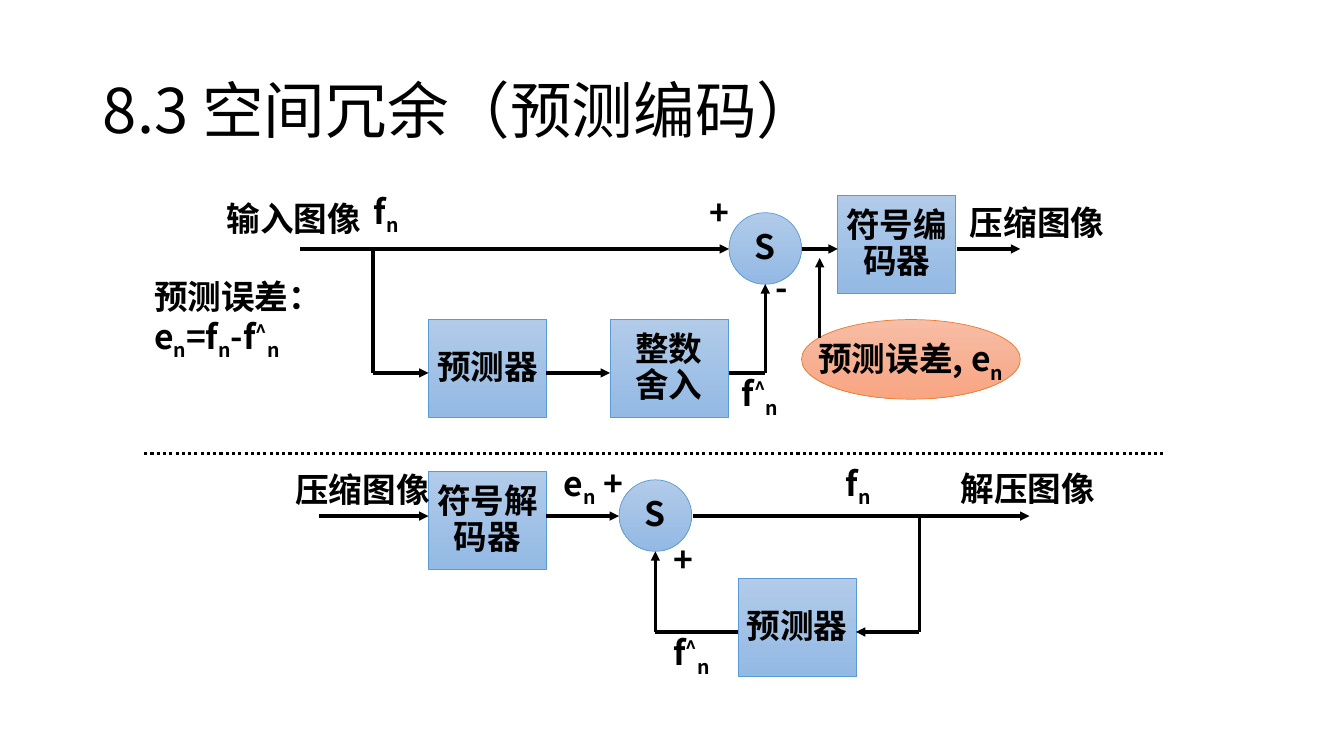
from lxml import etree
from pptx import Presentation
from pptx.dml.color import RGBColor
from pptx.enum.dml import MSO_LINE
from pptx.enum.shapes import MSO_CONNECTOR, MSO_SHAPE
from pptx.enum.text import MSO_ANCHOR, MSO_AUTO_SIZE, PP_ALIGN
from pptx.oxml.ns import qn
from pptx.util import Inches, Pt

RECTANGLE, OVAL = MSO_SHAPE.RECTANGLE, MSO_SHAPE.OVAL
STRAIGHT = MSO_CONNECTOR.STRAIGHT
DOTTED = MSO_LINE.ROUND_DOT
LEFT, CENTER = PP_ALIGN.LEFT, PP_ALIGN.CENTER
TOP, MIDDLE = MSO_ANCHOR.TOP, MSO_ANCHOR.MIDDLE
FIXED = MSO_AUTO_SIZE.NONE

# Spans are (text, baseline shift in percent)
SUB_N = ("n", -25)
HAT = ("^", 30)
F_N = [("f", 0), SUB_N]
F_HAT_N = [("f", 0), HAT, SUB_N]


def color(value):
    return RGBColor.from_string(value)


class Diagram:
    font = "Noto Sans CJK SC"
    ink = "000000"
    blue = ("B1CBE9", "93B9E4", "5B9BD5")
    orange = ("F7BDA5", "F8A582", "ED7D31")
    line_width = 2.25
    block_size = (1.17, 0.97)
    sum_size = (0.72, 0.71)

    def __init__(self, page):
        self.page = page

    def fill_text(self, frame, lines, align=LEFT, anchor=TOP, wrap=False, size=24, bold=True):
        frame.word_wrap = wrap
        frame.auto_size = FIXED
        frame.vertical_anchor = anchor
        for index, spans in enumerate(lines):
            para = frame.add_paragraph() if index else frame.paragraphs[0]
            para.alignment = align
            para.line_spacing = 0.9
            para.space_before = Pt(0.2 if index else 0)
            for text, shift in [(spans, 0)] if isinstance(spans, str) else spans:
                span = para.add_run()
                span.text = text
                span.font.size, span.font.bold = Pt(size), bold
                span.font.color.rgb = color(self.ink)
                span.font.name = self.font
                properties = span.font._element
                etree.SubElement(properties, qn("a:ea"), typeface=self.font)
                if shift:
                    properties.set("baseline", str(shift * 1000))

    def title(self, text):
        box = self.page.shapes.title
        box.left, box.top = Inches(0.92), Inches(0.4)
        box.width, box.height = Inches(11.5), Inches(1.45)
        self.fill_text(box.text_frame, [text], anchor=MIDDLE, wrap=True, size=44, bold=False)

    def node(self, preset, left, top, size, lines, palette=blue):
        box = self.page.shapes.add_shape(
            preset, Inches(left), Inches(top), *map(Inches, size))
        box.shadow.inherit = False
        box.fill.gradient()
        box.fill.gradient_angle = 270
        for stop, shade in zip(box.fill.gradient_stops, palette):
            stop.color.rgb = color(shade)
        box.line.color.rgb = color(palette[2])
        box.line.width = Pt(0.5)
        self.fill_text(box.text_frame, lines, CENTER, MIDDLE)

    def block(self, left, top, *lines):
        self.node(RECTANGLE, left, top, self.block_size, lines)

    def summation(self, left, top):
        self.node(OVAL, left, top, self.sum_size, ["S"])

    def label(self, left, top, width, spans, height=0.46, wrap=False):
        box = self.page.shapes.add_textbox(*map(Inches, (left, top, width, height)))
        self.fill_text(box.text_frame, [spans], wrap=wrap)

    def line(self, start, end, arrow=True, dash=None):
        link = self.page.shapes.add_connector(STRAIGHT, *map(Inches, start + end))
        link.line.color.rgb = color(self.ink)
        link.line.width = Pt(self.line_width)
        if dash:
            link.line.dash_style = dash
        if arrow:
            etree.SubElement(link.line._get_or_add_ln(), qn("a:tailEnd"), type="triangle")
        etree.SubElement(link._element.spPr, qn("a:effectLst"))

    def route(self, *points):
        """Join the points in turn, with an arrowhead on the last piece."""
        last = len(points) - 2
        for index, (start, end) in enumerate(zip(points, points[1:])):
            self.line(start, end, arrow=index == last)


def main():
    deck = Presentation()
    deck.slide_width, deck.slide_height = Inches(13.33), Inches(7.5)
    diagram = Diagram(deck.slides.add_slide(deck.slide_layouts[5]))
    diagram.title("8.3 空间冗余（预测编码）")

    # Encoder blocks
    diagram.block(4.25, 3.17, "预测器")
    diagram.block(6.05, 3.17, "整数", "舍入")
    diagram.block(8.31, 1.94, "符号编", "码器")
    diagram.summation(7.23, 2.11)

    # Decoder blocks
    diagram.block(4.25, 4.68, "符号解", "码器")
    diagram.block(7.32, 5.74, "预测器")
    diagram.summation(6.14, 4.76)

    # Encoder signal paths
    signal, feedback = 2.47, 3.7
    for start, end in ((2.98, 7.23), (7.95, 8.31), (9.49, 10.12)):
        diagram.route((start, signal), (end, signal))
    diagram.route((3.7, signal), (3.7, feedback), (4.25, feedback))
    diagram.route((5.42, feedback), (6.05, feedback))
    diagram.route((7.23, feedback), (7.59, feedback), (7.59, 2.82))

    # Decoder signal paths
    signal, feedback = 5.12, 6.27
    for start, end in ((3.16, 4.25), (5.42, 6.14), (6.87, 10.21)):
        diagram.route((start, signal), (end, signal))
    diagram.route((9.12, signal), (9.12, feedback), (8.49, feedback))
    diagram.route((7.32, feedback), (6.5, feedback), (6.5, 5.47))

    # Prediction error callout
    diagram.node(OVAL, 7.95, 3.17, (2.17, 0.79),
                 [[("预测误差, e", 0), SUB_N]], diagram.orange)
    diagram.route((8.13, 3.35), (8.13, 2.56))

    # Labels
    for left, top, width, spans in (
        (2.15, 1.96, 1.55, "输入图像"),
        (9.52, 2, 1.55, "压缩图像"),
        (2.83, 4.65, 1.55, "压缩图像"),
        (9.43, 4.64, 1.55, "解压图像"),
        (3.61, 1.85, 0.46, F_N),
        (8.29, 4.55, 0.46, F_N),
        (7.26, 3.66, 0.62, F_HAT_N),
        (6.58, 6.23, 0.62, F_HAT_N),
        (5.49, 4.55, 0.85, [("e", 0), SUB_N, (" +", 0)]),
        (6.94, 1.9, 0.44, "+"),
        (6.58, 5.34, 0.44, "+"),
        (7.59, 2.64, 0.33, "-"),
    ):
        diagram.label(left, top, width, spans)
    error = [("预测误差：e", 0), SUB_N, ("=f", 0), SUB_N, ("-f", 0), HAT, SUB_N]
    diagram.label(1.43, 2.73, 1.9, error, height=0.83, wrap=True)

    # Divider between encoder and decoder
    diagram.line((1.43, 4.5), (11.54, 4.5), arrow=False, dash=DOTTED)

    deck.save("out.pptx")


if __name__ == "__main__":
    main()
